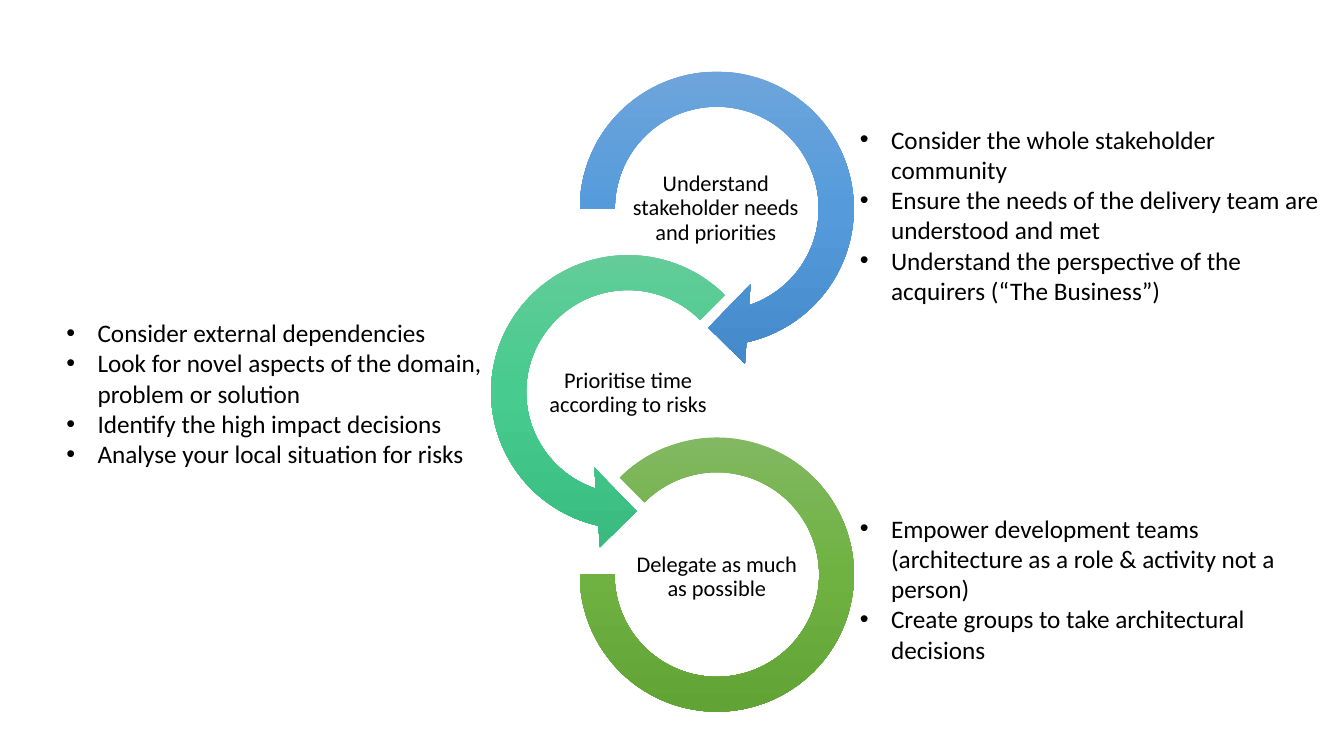
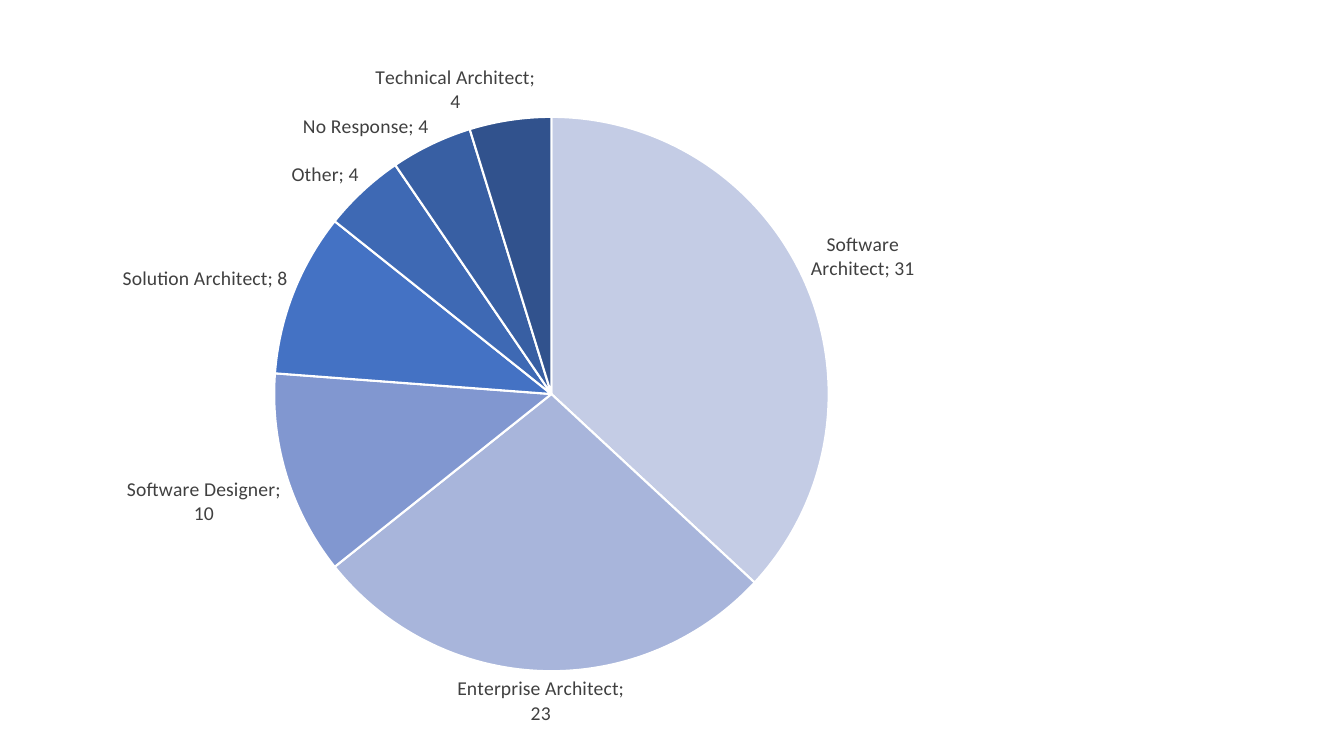
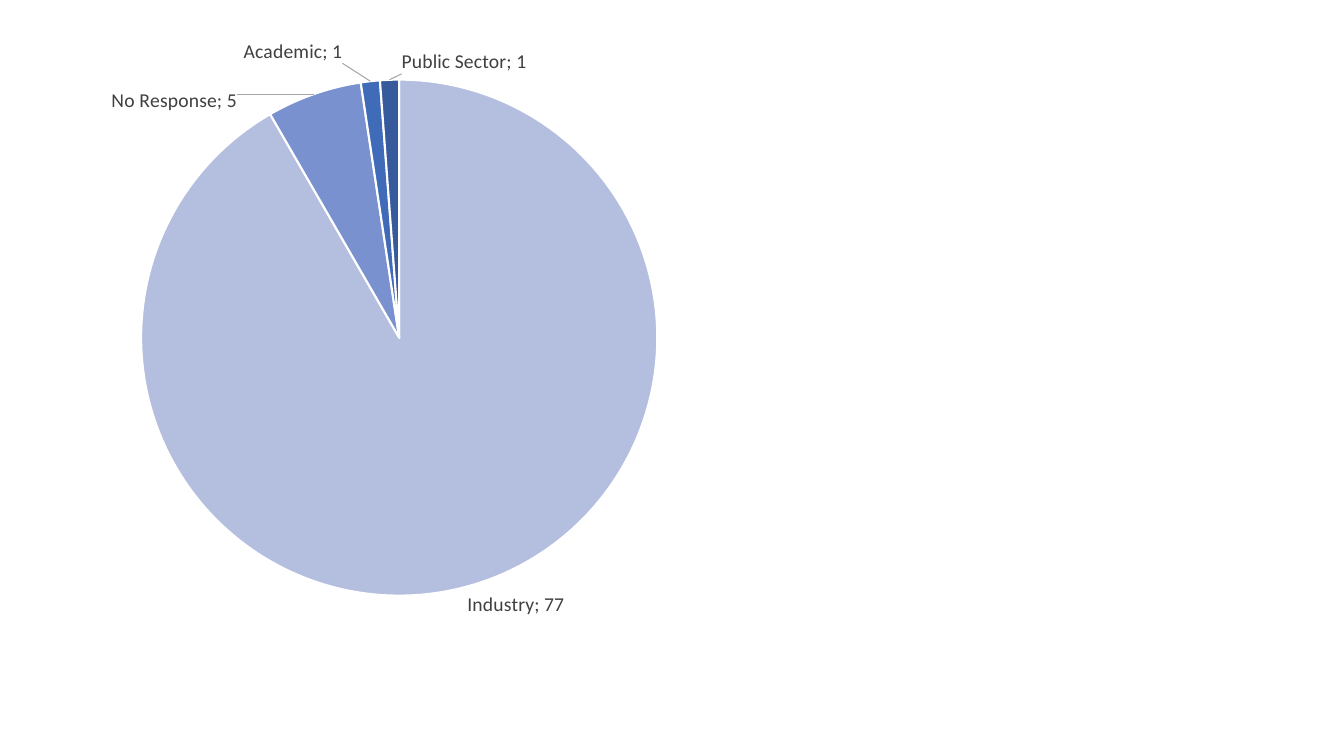
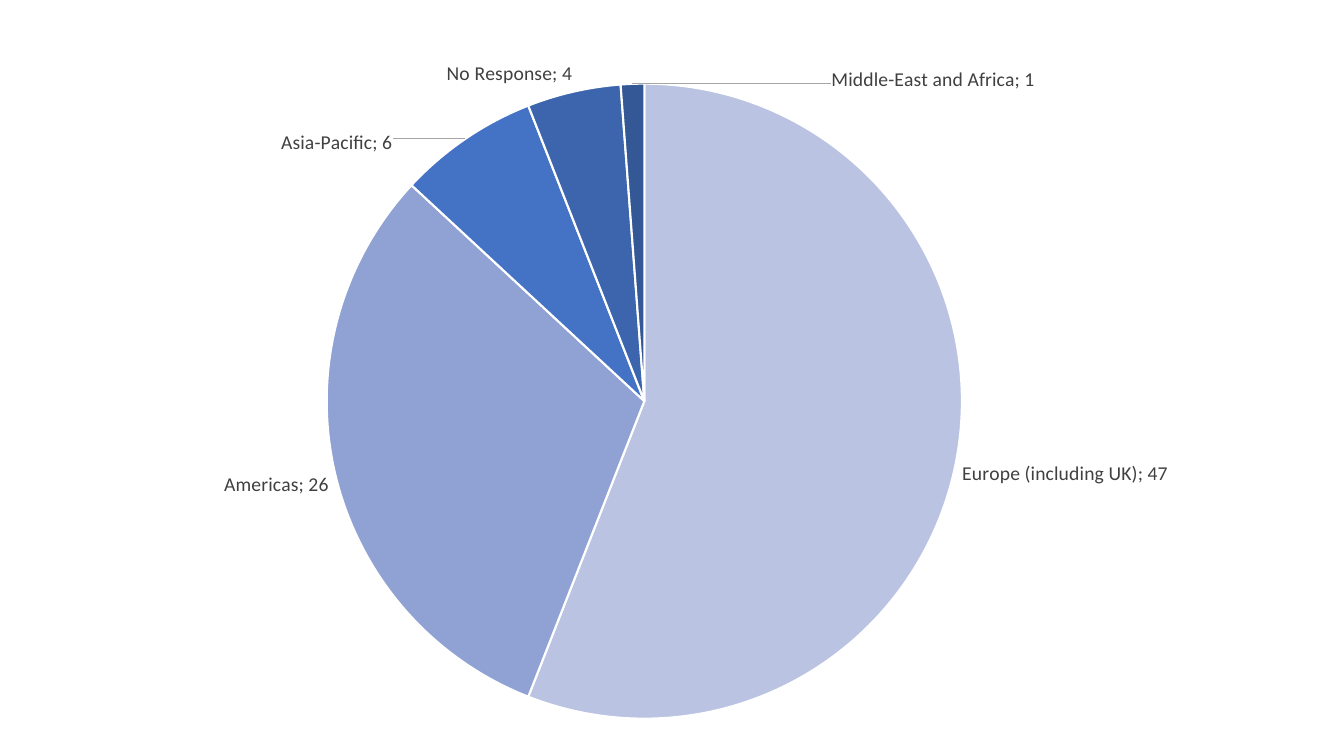
from copy import deepcopy
from dataclasses import dataclass, field

from lxml import etree
from pptx import Presentation
from pptx.chart.data import CategoryChartData
from pptx.dml.color import RGBColor
from pptx.enum import chart as charts, shapes, text
from pptx.oxml import parse_xml
from pptx.oxml.ns import nsdecls, qn
from pptx.util import Inches, Pt

FONT = "Calibri"
BLACK = "000000"
GREY = "404040"
LEADER = "A6A6A6"
WHITE = "FFFFFF"
INDENT = Inches(0.31)

Shape = shapes.MSO_SHAPE


@dataclass
class Box:
    left: float
    top: float
    width: float
    height: float

    def lengths(self) -> tuple:
        return tuple(Inches(v) for v in (self.left, self.top, self.width, self.height))


@dataclass
class Ring:
    kind: Shape
    box: Box
    adjust: tuple
    shades: tuple
    label: Box
    words: str


@dataclass
class Notes:
    box: Box
    lines: tuple


@dataclass
class Slice:
    name: str
    value: int
    shade: str
    shift: tuple | None = None


@dataclass
class Pie:
    box: Box
    center: tuple
    radius: float
    slices: list = field(default_factory=list)


RINGS = [
    Ring(Shape.CIRCULAR_ARROW, Box(5.53, 0.49, 3.16, 3.16),
         (0.11, 11.42, 45, 108, 0.125), ("71A6DB", "559BDB", "448ACA"),
         Box(6.22, 1.63, 1.76, 0.88), "Understand stakeholder needs and priorities"),
    Ring(Shape.LEFT_CIRCULAR_ARROW, Box(4.65, 2.31, 3.16, 3.16),
         (0.11, 11.42, 63, 189, 0.125), ("67CC9A", "47CB8E", "39BB7F"),
         Box(5.35, 3.46, 1.76, 0.88), "Prioritise time according to risks"),
    Ring(Shape.BLOCK_ARC, Box(5.75, 4.34, 2.72, 2.72),
         (135, 108, 0.127), ("81B861", "6FB242", "62A336"),
         Box(6.23, 5.29, 1.76, 0.88), "Delegate as much as possible"),
]

NOTES = [
    Notes(Box(8.43, 1.18, 4.9, 1.92), (
        "Consider the whole stakeholder community",
        "Ensure the needs of the delivery team are understood and met",
        "Understand the perspective of the acquirers (“The Business”)")),
    Notes(Box(0.56, 3.1, 4.9, 1.62), (
        "Consider external dependencies",
        "Look for novel aspects of the domain, problem or solution",
        "Identify the high impact decisions",
        "Analyse your local situation for risks")),
    Notes(Box(8.43, 5.04, 4.9, 1.62), (
        "Empower development teams (architecture as a role & activity not a person)",
        "Create groups to take architectural decisions")),
]

PIES = [
    Pie(Box(0.73, 0.5, 8.6, 6.84), (5.47, 3.91), 2.75, [
        Slice("Software Architect", 31, "C4CCE5"),
        Slice("Enterprise Architect", 23, "A8B5DB"),
        Slice("Software Designer", 10, "8197D0"),
        Slice("Solution Architect", 8, "4472C4"),
        Slice("Other", 4, "3E69B4"),
        Slice("No Response", 4, "385FA3"),
        Slice("Technical Architect", 4, "31528D", (0.03, 0)),
    ]),
    Pie(Box(0.4, 0.34, 6.75, 5.97), (3.96, 3.35), 2.56, [
        Slice("Industry", 77, "B4BEDF"),
        Slice("No Response", 5, "7991CE", (-0.11, 0.04)),
        Slice("Academic", 1, "406BB8", (-0.04, -0.02)),
        Slice("Public Sector", 1, "365A9B", (0.11, 0)),
    ]),
    Pie(Box(0.84, 0.39, 11.48, 6.89), (6.39, 3.98), 3.15, [
        Slice("Europe (including UK)", 47, "BAC4E2"),
        Slice("Americas", 26, "90A2D3"),
        Slice("Asia-Pacific", 6, "4472C4", (-0.06, 0.03)),
        Slice("No Response", 4, "3C65AE"),
        Slice("Middle-East and Africa", 1, "345795", (0.26, 0.02)),
    ]),
]


def color(code: str) -> RGBColor:
    return RGBColor.from_string(code)


def style(font, size: float, code: str) -> None:
    font.name = FONT
    font.size = Pt(size)
    font.color.rgb = color(code)


def blend(shape, shades: tuple) -> None:
    shape.fill.gradient()
    shape.fill.gradient_angle = 270
    first = shape.element.xpath(".//a:gs")[0]
    first.addnext(deepcopy(first))
    stops = shape.fill.gradient_stops
    for i, (stop, shade) in enumerate(zip(stops, shades)):
        stop.position = i / 2
        stop.color.rgb = color(shade)


def draw_ring(slide, ring: Ring) -> None:
    shape = slide.shapes.add_shape(ring.kind, *ring.box.lengths())
    shape.shadow.inherit = False
    shape.line.fill.background()
    for i, value in enumerate(ring.adjust):
        shape.adjustments[i] = value
    blend(shape, ring.shades)

    frame = slide.shapes.add_textbox(*ring.label.lengths()).text_frame
    frame.word_wrap = True
    frame.vertical_anchor = text.MSO_ANCHOR.MIDDLE
    frame.margin_left = frame.margin_right = Inches(0.01)
    frame.margin_top = frame.margin_bottom = Inches(0.01)
    frame.text = ring.words
    line = frame.paragraphs[0]
    line.alignment = text.PP_ALIGN.CENTER
    line.line_spacing = 0.9
    style(line.runs[0].font, 16, BLACK)


def draw_notes(slide, notes: Notes) -> None:
    frame = slide.shapes.add_textbox(*notes.box.lengths()).text_frame
    frame.word_wrap = True
    frame.auto_size = text.MSO_AUTO_SIZE.SHAPE_TO_FIT_TEXT
    frame.text = "\n".join(notes.lines)
    for line in frame.paragraphs:
        props = line._p.get_or_add_pPr()
        props.set("marL", str(INDENT))
        props.set("indent", str(-INDENT))
        etree.SubElement(props, qn("a:buFont")).set("typeface", "Arial")
        etree.SubElement(props, qn("a:buChar")).set("char", "•")
        style(line.runs[0].font, 18, BLACK)


def layout(x: float, y: float, extra: str = "", size: str = ""):
    return parse_xml(
        f'<c:layout {nsdecls("c")}><c:manualLayout>{extra}'
        f'<c:x val="{x:.4f}"/><c:y val="{y:.4f}"/>{size}'
        "</c:manualLayout></c:layout>")


def place_plot(chart, pie: Pie) -> None:
    box, (x, y), r = pie.box, pie.center, pie.radius
    plot = chart.element.xpath(".//c:plotArea")[0]
    for old in plot.findall(qn("c:layout")):
        plot.remove(old)
    plot.insert(0, layout(
        (x - r - box.left) / box.width, (y - r - box.top) / box.height,
        '<c:layoutTarget val="inner"/><c:xMode val="edge"/><c:yMode val="edge"/>',
        f'<c:w val="{2 * r / box.width:.4f}"/><c:h val="{2 * r / box.height:.4f}"/>'))


def draw_labels(chart, series, slices: list) -> None:
    labels = series.data_labels
    style(labels.font, 14, GREY)
    labels.position = charts.XL_LABEL_POSITION.OUTSIDE_END
    labels.show_value = True
    for i, part in enumerate(slices):
        if part.shift:
            label = series.points[i].data_label
            style(label.font, 14, GREY)
            label.position = charts.XL_LABEL_POSITION.OUTSIDE_END
            mark = chart.element.xpath(f".//c:dLbl/c:idx[@val='{i}']")[0]
            mark.addnext(layout(*part.shift))

    root = chart.element.xpath(".//c:ser/c:dLbls")[0]
    for flag in root.xpath(".//c:showCatName"):
        flag.set("val", "1")
    for flag in root.xpath(".//c:showBubbleSize"):
        flag.addnext(parse_xml(f'<c:separator {nsdecls("c")}>; </c:separator>'))
    for old in root.findall(qn("c:showLeaderLines")):
        root.remove(old)
    etree.SubElement(root, qn("c:showLeaderLines")).set("val", "1")
    root.append(parse_xml(
        f'<c:leaderLines {nsdecls("c", "a")}><c:spPr><a:ln w="9525"><a:solidFill>'
        f'<a:srgbClr val="{LEADER}"/></a:solidFill></a:ln></c:spPr></c:leaderLines>'))


def draw_pie(slide, pie: Pie) -> None:
    data = CategoryChartData()
    data.categories = [part.name for part in pie.slices]
    data.add_series("Series 1", [part.value for part in pie.slices])
    chart = slide.shapes.add_chart(
        charts.XL_CHART_TYPE.PIE, *pie.box.lengths(), data).chart
    chart.has_legend = False
    chart.has_title = False
    style(chart.font, 14, BLACK)
    plot = chart.plots[0]
    plot.vary_by_categories = True
    series = plot.series[0]
    for i, part in enumerate(pie.slices):
        look = series.points[i].format
        look.fill.solid()
        look.fill.fore_color.rgb = color(part.shade)
        look.line.color.rgb = color(WHITE)
        look.line.width = Pt(1.5)
    place_plot(chart, pie)
    draw_labels(chart, series, pie.slices)


def main() -> None:
    deck = Presentation()
    deck.slide_width = Inches(13.33)
    deck.slide_height = Inches(7.5)
    blank = deck.slide_layouts[6]

    steps = deck.slides.add_slide(blank)
    for ring in RINGS:
        draw_ring(steps, ring)
    for notes in NOTES:
        draw_notes(steps, notes)

    for pie in PIES:
        draw_pie(deck.slides.add_slide(blank), pie)

    deck.save("out.pptx")


if __name__ == "__main__":
    main()
